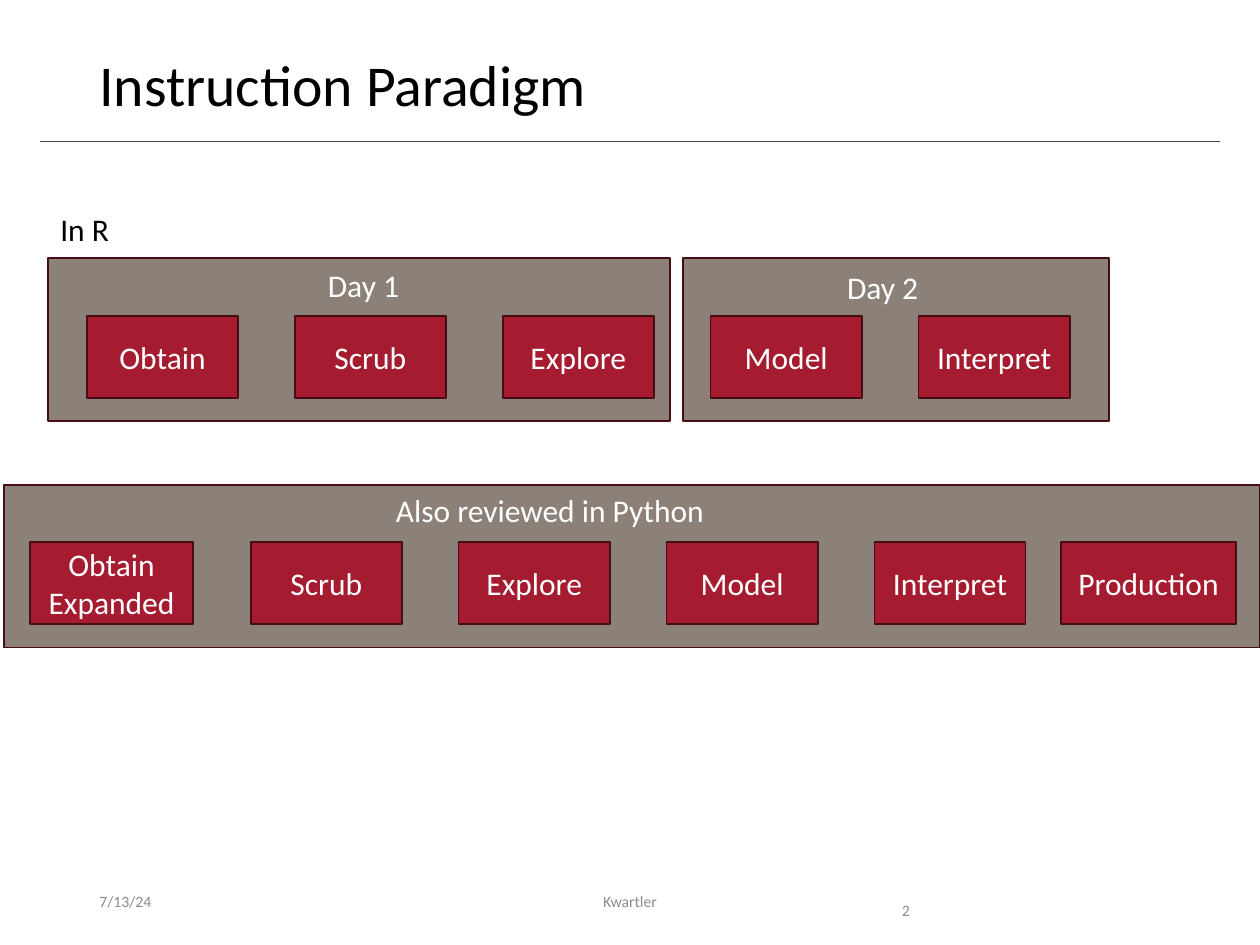
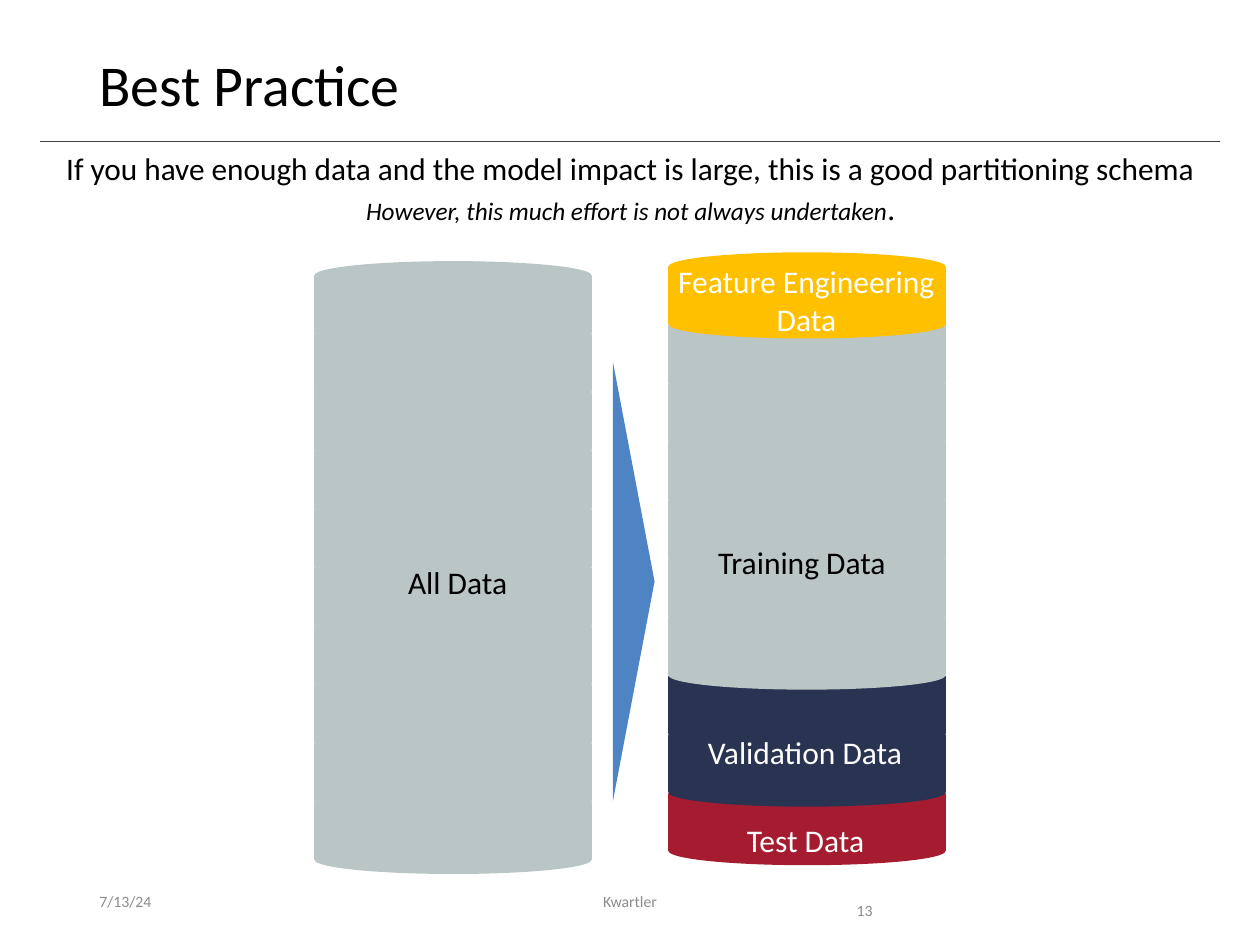
"""Builds two teaching slides: the instruction paradigm and a data partitioning schema."""
from lxml import etree
from pptx import Presentation
from pptx import util as u
from pptx.dml.color import RGBColor
from pptx.enum import shapes, text
from pptx.oxml.ns import qn

COLUMNS, ROWS = 100, 75
WIDTH, HEIGHT = u.Inches(10), u.Inches(7.5)
FONT = "Calibri"
COLOURS = {
    "black": "000000", "white": "FFFFFF", "footer": "8C8C8C", "rule": "404040",
    "crimson": "A51C30", "border": "480C15", "taupe": "8C8179", "blue": "4E84C4",
    "mist": "BAC5C6", "gold": "FFC000", "navy": "293352",
}
KIND = shapes.MSO_SHAPE
LEFT, CENTER = text.PP_ALIGN.LEFT, text.PP_ALIGN.CENTER
TOP, MIDDLE = text.MSO_ANCHOR.TOP, text.MSO_ANCHOR.MIDDLE
STEP_PITCH, STEP_WIDTH, STEP_HEIGHT = 16.5, 12, 6.5
DISK_PITCH = 41.8 / 9


def colour(name):
    """Return the named colour."""
    return RGBColor.from_string(COLOURS[name])


def across(columns):
    """Turn grid columns into a length."""
    return int(WIDTH * columns / COLUMNS)


def down(rows):
    """Turn grid rows into a length."""
    return int(HEIGHT * rows / ROWS)


def place(left, top, width, height):
    """Turn a grid area into slide lengths."""
    return across(left), down(top), across(width), down(height)


def style(para, size, ink, align=LEFT, spacing=None):
    """Set the font, alignment and line spacing of a paragraph."""
    para.alignment = align
    if spacing:
        para.line_spacing = spacing
    para.font.name = FONT
    para.font.size = u.Pt(size)
    para.font.color.rgb = colour(ink)


def write(frame, words, size, ink, align, anchor, spacing=None):
    """Fill a text frame with one paragraph for each line of words."""
    frame.text = words
    frame.vertical_anchor = anchor
    for para in frame.paragraphs:
        style(para, size, ink, align, spacing)


def add_label(page, area, words, size=18, ink="black", align=LEFT,
              anchor=TOP, spacing=None, wrap=True):
    """Add a text box."""
    box = page.shapes.add_textbox(*place(*area))
    box.text_frame.word_wrap = wrap
    write(box.text_frame, words, size, ink, align, anchor, spacing)


def add_block(page, kind, area, fill, border=None, words=""):
    """Add a filled preset shape, with centred white words if given."""
    block = page.shapes.add_shape(kind, *place(*area))
    block.shadow.inherit = False
    block.fill.solid()
    block.fill.fore_color.rgb = colour(fill)
    if border:
        block.line.color.rgb = colour(border)
        block.line.width = u.Pt(1)
    else:
        block.line.fill.background()
    if words:
        write(block.text_frame, words, 18, "white", CENTER, MIDDLE)
    return block


def add_page(deck, title, number, number_left):
    """Add a page with its title, rule and footers."""
    page = deck.slides.add_slide(deck.slide_layouts[6])
    rule = page.shapes.add_connector(
        shapes.MSO_CONNECTOR.STRAIGHT,
        across(3.2), down(11.2), across(96.8), down(11.2))
    rule.line.color.rgb = colour("rule")
    rule.line.width = u.Pt(0.5)
    etree.SubElement(rule._element.spPr, qn("a:effectLst"))
    add_label(page, (6.9, 4, 86.2, 6.5), title, 33, spacing=0.9)
    add_label(page, (6.9, 69.5, 22.5, 4), "7/13/24", 9, "footer", anchor=MIDDLE)
    add_label(page, (33.1, 69.5, 33.8, 4), "Kwartler", 9, "footer", CENTER, MIDDLE)
    add_label(page, (number_left, 69.5, 9.4, 4), number, 9, "footer", spacing=2.0)
    return page


def add_step(page, left, top, words, width=STEP_WIDTH):
    """Add one crimson step of the workflow."""
    add_block(page, KIND.RECTANGLE, (left, top, width, STEP_HEIGHT),
              "crimson", "border", words)


def add_steps(page, left, top, names):
    """Add equally spaced steps in a row."""
    for index, name in enumerate(names):
        add_step(page, left + index * STEP_PITCH, top, name)


def add_panel(page, left, top, width):
    """Add the taupe panel behind a group of steps."""
    add_block(page, KIND.RECTANGLE, (left, top, width, 12.9), "taupe", "border")


def add_disk_stack(page, left, top, fills):
    """Stack disks from the bottom up, with fills listed from the top."""
    for index, fill in reversed(list(enumerate(fills))):
        area = (left, top + index * DISK_PITCH, 21.9, 6.7)
        add_block(page, KIND.FLOWCHART_MAGNETIC_DISK, area, fill, fill)


def add_advice(page):
    """Add the two centred lines of advice under the title."""
    box = page.shapes.add_textbox(*place(1.4, 12.2, 97.3, 6.5))
    frame = box.text_frame
    frame.word_wrap = True
    first, second = frame.paragraphs[0], frame.add_paragraph()
    first.text = ("If you have enough data and the model impact is large, "
                  "this is a good partitioning schema")
    for para in (first, second):
        style(para, 17.9, "black", CENTER, 0.7)
    second.space_before = u.Pt(7.5)
    span = second.add_run()
    span.text = "However, this much effort is not always undertaken"
    span.font.size = u.Pt(14.4)
    span.font.italic = True
    second.add_run().text = "."


def build_paradigm(deck):
    """Build the page with the R and Python workflows."""
    page = add_page(deck, "Instruction Paradigm", "2", 70.6)
    add_label(page, (3.8, 16.2, 5.9, 4), "In R", wrap=False)
    add_panel(page, 3.8, 20.5, 49.4)
    add_panel(page, 54.2, 20.5, 33.8)
    add_label(page, (23.6, 20.6, 10.5, 4), "Day 1", ink="white", align=CENTER)
    add_label(page, (64.8, 20.8, 10.5, 4), "Day 2", ink="white", align=CENTER)
    middle_steps = ["Scrub", "Explore", "Model", "Interpret"]
    add_steps(page, 6.9, 25.1, ["Obtain"] + middle_steps)

    add_panel(page, 0.3, 38.5, 99.7)
    add_label(page, (20.1, 38.5, 47.1, 4), "Also reviewed in Python",
              ink="white", align=CENTER)
    add_step(page, 2.4, 43, "Obtain\nExpanded", 12.9)
    add_steps(page, 19.9, 43, middle_steps)
    add_step(page, 84.2, 43, "Production", 13.9)


def build_practice(deck):
    """Build the page that splits all data into partitions."""
    page = add_page(deck, "Best Practice", "13", 67)
    add_advice(page)
    add_disk_stack(page, 25, 20.8, ["mist"] * 10)
    add_disk_stack(page, 53.1, 20.1,
                   ["gold"] + ["mist"] * 6 + ["navy"] * 2 + ["crimson"])
    arrow = add_block(page, KIND.ISOSCELES_TRIANGLE, (32.9, 44.5, 34.8, 3.3), "blue")
    arrow.rotation = 90
    add_label(page, (52.4, 20.3, 23.2, 7.1), "Feature Engineering\nData",
              ink="white", align=CENTER, wrap=False)
    for area, words, ink in (
        ((31.4, 44.2, 10, 4), "All Data", "black"),
        ((56, 42.6, 16.1, 4), "Training Data", "black"),
        ((55.2, 57.7, 17.6, 4), "Validation Data", "white"),
        ((58.3, 64.7, 11.4, 4), "Test Data", "white"),
    ):
        add_label(page, area, words, ink=ink, wrap=False)


def main():
    """Build and save the deck."""
    deck = Presentation()
    deck.slide_width, deck.slide_height = WIDTH, HEIGHT
    build_paradigm(deck)
    build_practice(deck)
    deck.save("out.pptx")


if __name__ == "__main__":
    main()
